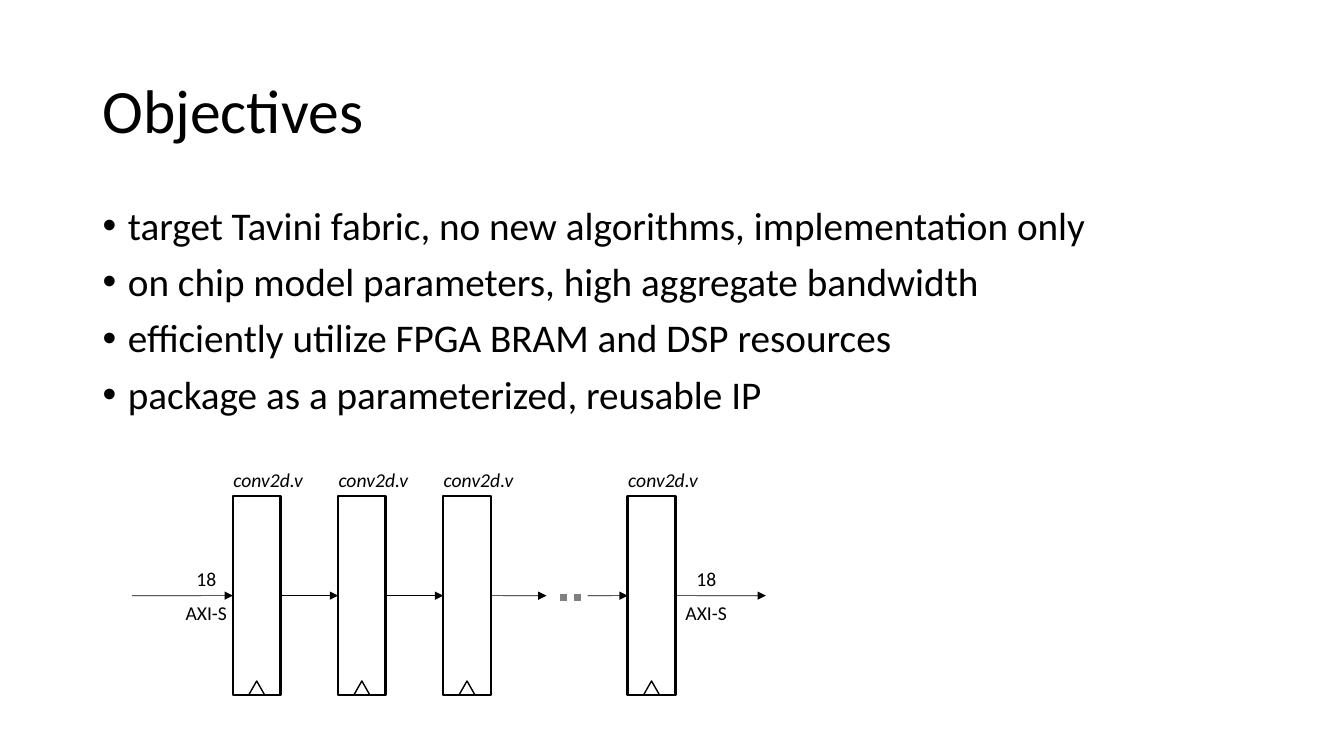
from lxml import etree
from pptx import Presentation
from pptx import util as u
from pptx.dml.color import RGBColor
from pptx.enum import dml, shapes, text
from pptx.oxml import ns

BLACK, GREY = "000000", "808080"
GOALS = [
    "target Tavini fabric, no new algorithms, implementation only",
    "on chip model parameters, high aggregate bandwidth",
    "efficiently utilize FPGA BRAM and DSP resources",
    "package as a parameterized, reusable IP",
]


def colour(value):
    return RGBColor.from_string(value)


def apply(target, formats):
    for name, value in formats.items():
        setattr(target, name, value)


def style_font(paragraph, size, italic=False):
    apply(paragraph.font, {"name": "Calibri", "size": u.Pt(size), "italic": italic})
    paragraph.font.color.rgb = colour(BLACK)


def place(item, left, top, width, height):
    sides = {"left": left, "top": top, "width": width, "height": height}
    apply(item, {side: u.Cm(length) for side, length in sides.items()})


def add_heading(heading, words, box):
    place(heading, *box)
    frame = heading.text_frame
    frame.text = words
    apply(frame, {"vertical_anchor": text.MSO_ANCHOR.MIDDLE,
                  "auto_size": text.MSO_AUTO_SIZE.NONE})
    line = frame.paragraphs[0]
    apply(line, {"alignment": text.PP_ALIGN.LEFT, "line_spacing": 0.9})
    style_font(line, 44)


def add_goals(body, goals, box):
    place(body, *box)
    frame = body.text_frame
    frame.text = "\n".join(goals)
    apply(frame, {"vertical_anchor": text.MSO_ANCHOR.TOP,
                  "auto_size": text.MSO_AUTO_SIZE.NONE})
    for number, goal in enumerate(frame.paragraphs):
        properties = goal._p.get_or_add_pPr()
        properties.set("marL", str(u.Cm(0.64)))
        properties.set("indent", str(u.Cm(-0.64)))
        etree.SubElement(properties, ns.qn("a:buFont")).set("typeface", "Arial")
        etree.SubElement(properties, ns.qn("a:buChar")).set("char", "•")
        apply(goal, {"line_spacing": 0.9, "space_after": u.Pt(0),
                     "space_before": u.Pt(10 if number else 0)})
        style_font(goal, 28)


def add_label(slide, words, centre, top, italic=False):
    width = 2.3
    label = slide.shapes.add_textbox(
        u.Cm(centre - width / 2), u.Cm(top), u.Cm(width), u.Cm(0.86))
    label.text_frame.word_wrap = False
    line = label.text_frame.paragraphs[0]
    line.text = words
    line.alignment = text.PP_ALIGN.CENTER
    style_font(line, 14, italic)


def add_outline(slide, kind, box, weight):
    outline = slide.shapes.add_shape(kind, *map(u.Cm, box))
    outline.shadow.inherit = False
    outline.fill.background()
    outline.line.color.rgb = colour(BLACK)
    outline.line.width = u.Pt(weight)
    return outline


def add_line(slide, start, end, y, shade=BLACK, weight=0.5):
    line = slide.shapes.add_connector(
        shapes.MSO_CONNECTOR.STRAIGHT, u.Cm(start), u.Cm(y), u.Cm(end), u.Cm(y))
    line.line.color.rgb = colour(shade)
    line.line.width = u.Pt(weight)
    etree.SubElement(line._element.spPr, ns.qn("a:effectLst"))
    return line


def add_arrow(slide, start, end, y, source=None, target=None):
    arrow = add_line(slide, start, end, y)
    etree.SubElement(arrow.line._get_or_add_ln(), ns.qn("a:tailEnd")).set("type", "triangle")
    if source is not None:
        arrow.begin_connect(source, 3)
    if target is not None:
        arrow.end_connect(target, 1)


def add_stage(slide, left, top, width, height):
    stage = add_outline(slide, shapes.MSO_SHAPE.RECTANGLE, (left, top, width, height), 1.75)
    clock_width, clock_height = 0.41, 0.36
    clock = (left + (width - clock_width) / 2, top + height - clock_height,
             clock_width, clock_height)
    add_outline(slide, shapes.MSO_SHAPE.ISOSCELES_TRIANGLE, clock, 1)
    add_label(slide, "conv2d.v", left + 0.89, top - 0.84, italic=True)
    return stage


def add_pipeline(slide, left, top, width, height):
    stage_width, pitch = 1.2, 2.65
    first, right, middle = left + 2.54, left + width, top + height / 2
    lefts = [first + pitch * step for step in range(3)] + [right - 3.48]
    stages = [add_stage(slide, x, top, stage_width, height) for x in lefts]
    ends = [x + stage_width for x in lefts]

    add_arrow(slide, left, first, middle, target=stages[0])
    for step in range(2):
        add_arrow(slide, ends[step], lefts[step + 1], middle, stages[step], stages[step + 1])
    add_arrow(slide, ends[2], ends[2] + 1.4, middle, source=stages[2])
    add_arrow(slide, lefts[3] - 1.01, lefts[3], middle, target=stages[3])
    add_arrow(slide, ends[3], right, middle, source=stages[3])

    gap = add_line(slide, lefts[3] - 1.19, lefts[3] - 1.8, middle + 0.05, GREY, 5)
    gap.line.dash_style = dml.MSO_LINE.ROUND_DOT
    for centre in (first - 0.67, ends[3] + 0.78):
        add_label(slide, "18", centre, middle - 0.84)
        add_label(slide, "AXI-S", centre, middle)


def build_objectives(deck):
    slide = deck.slides.add_slide(deck.slide_layouts[1])
    add_heading(slide.shapes.title, "Objectives", (2.33, 1.01, 29.21, 3.68))
    add_goals(slide.placeholders[1], GOALS, (2.33, 5.07, 29.21, 12.09))
    add_pipeline(slide, 3.33, 12.5, 15.97, 5.02)


def main():
    deck = Presentation()
    apply(deck, {"slide_width": u.Cm(33.87), "slide_height": u.Cm(19.05)})
    build_objectives(deck)
    deck.save("out.pptx")


if __name__ == "__main__":
    main()
